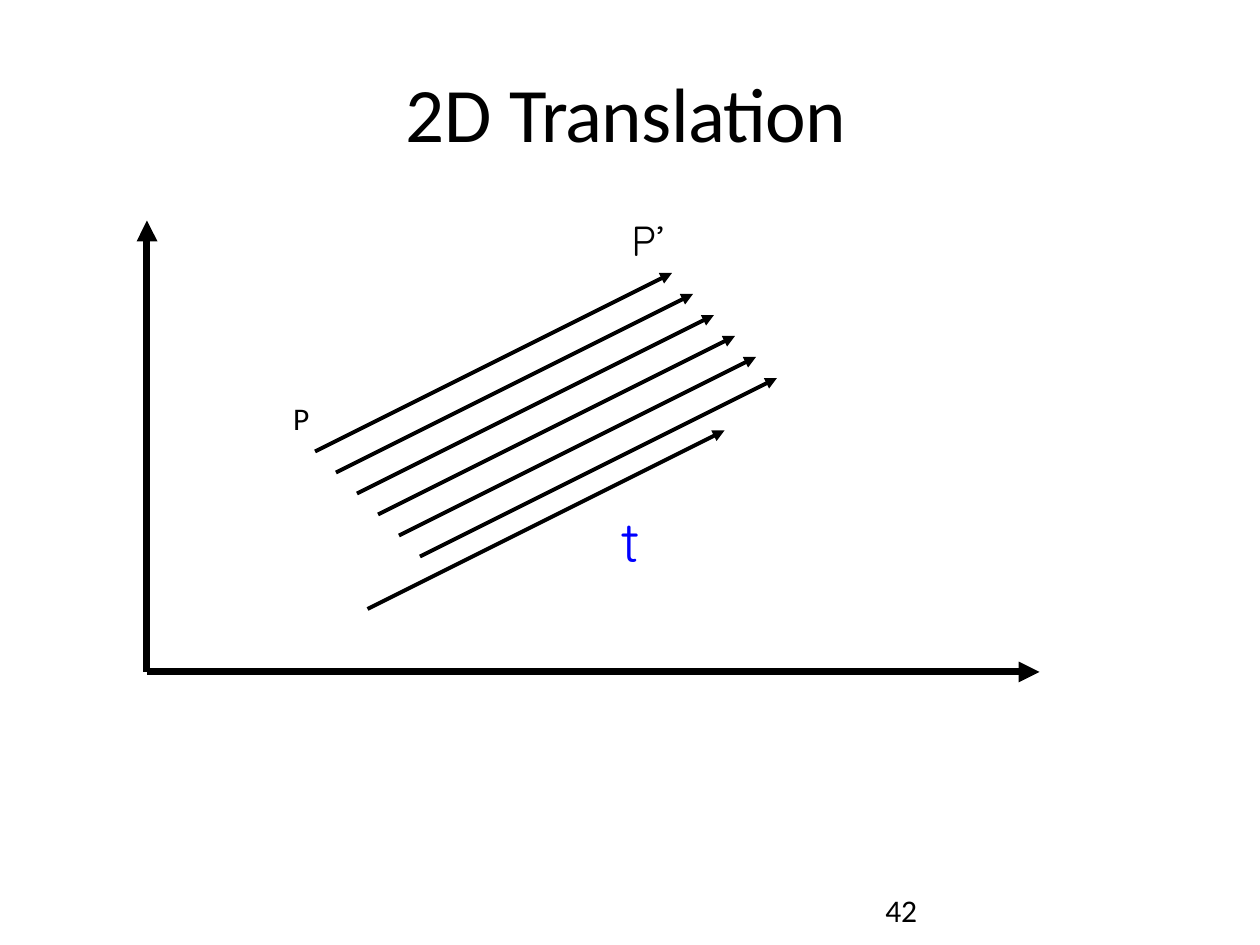
from lxml.etree import SubElement
from pptx import Presentation
from pptx.dml.color import RGBColor
from pptx.enum.shapes import MSO_CONNECTOR
from pptx.enum.text import MSO_ANCHOR, PP_ALIGN
from pptx.oxml.ns import qn
from pptx.util import Inches, Pt

BLACK = RGBColor(0x00, 0x00, 0x00)
BLUE = RGBColor(0x00, 0x00, 0xFF)

TITLE = [("2D ", -10), ("Translation", -40)]
TITLE_BOX = (19.25, 3, 21.55, 4.55)
LABELS = [
    ("t", (29.5, 24, 0.9, 3.35), "Quicksand", 32, BLUE),
    ("P", (13.9, 18.9, 0.95, 2), "Calibri", 18, BLACK),
    ("P’", (30, 10.1, 1.9, 2.6), "Quicksand", 24, BLACK),
    ("42", (42.1, 42.3, 1.9, 2), "Calibri", 18, BLACK),
]

ORIGIN = (7, 32)
AXIS_TIPS = [(7, 10.5), (49.5, 32)]
FIRST_POINT = (15, 21.5)
TRANSLATION = (17, -8.5)
POINT_OFFSETS = [(step, step) for step in range(6)] + [(2.5, 7.5)]
AXIS_WIDTH, VECTOR_WIDTH = 4, 2.25

prs = Presentation()
prs.slide_width, prs.slide_height = Inches(10), Inches(7.5)
UNIT = prs.slide_width / 60
slide = prs.slides.add_slide(prs.slide_layouts[5])


def grid(*values):
    return [round(value * UNIT) for value in values]


def shift(point, offset):
    return tuple(a + b for a, b in zip(point, offset))


def draw_arrow(start, tip, width):
    arrow = slide.shapes.add_connector(
        MSO_CONNECTOR.STRAIGHT, *grid(*start, *tip))
    arrow.line.color.rgb = BLACK
    arrow.line.width = Pt(width)
    SubElement(arrow.line._ln, qn("a:tailEnd"), type="triangle")
    SubElement(arrow._element.spPr, qn("a:effectLst"))


def write_text(holder, pieces, font_name, size, color):
    frame = holder.text_frame
    frame_format = {
        "margin_left": Inches(0.01), "margin_top": Inches(0.02),
        "margin_right": 0, "margin_bottom": 0,
        "word_wrap": False, "vertical_anchor": MSO_ANCHOR.TOP,
    }
    for name, value in frame_format.items():
        setattr(frame, name, value)
    paragraph = frame.paragraphs[0]
    paragraph.alignment = PP_ALIGN.LEFT
    for text, spacing in pieces:
        run = paragraph.add_run()
        run.text = text
        for name, value in {"name": font_name, "size": Pt(size)}.items():
            setattr(run.font, name, value)
        run.font.color.rgb = color
        run.font._element.set("spc", str(spacing))


title = slide.shapes.title
for side, length in zip(("left", "top", "width", "height"), grid(*TITLE_BOX)):
    setattr(title, side, length)
write_text(title, TITLE, "Calibri", 44, BLACK)

for tip in AXIS_TIPS:
    draw_arrow(ORIGIN, tip, AXIS_WIDTH)

for offset in POINT_OFFSETS:
    point = shift(FIRST_POINT, offset)
    draw_arrow(point, shift(point, TRANSLATION), VECTOR_WIDTH)

for text, box, font_name, size, color in LABELS:
    label = slide.shapes.add_textbox(*grid(*box))
    write_text(label, [(text, 0)], font_name, size, color)

prs.save("out.pptx")
